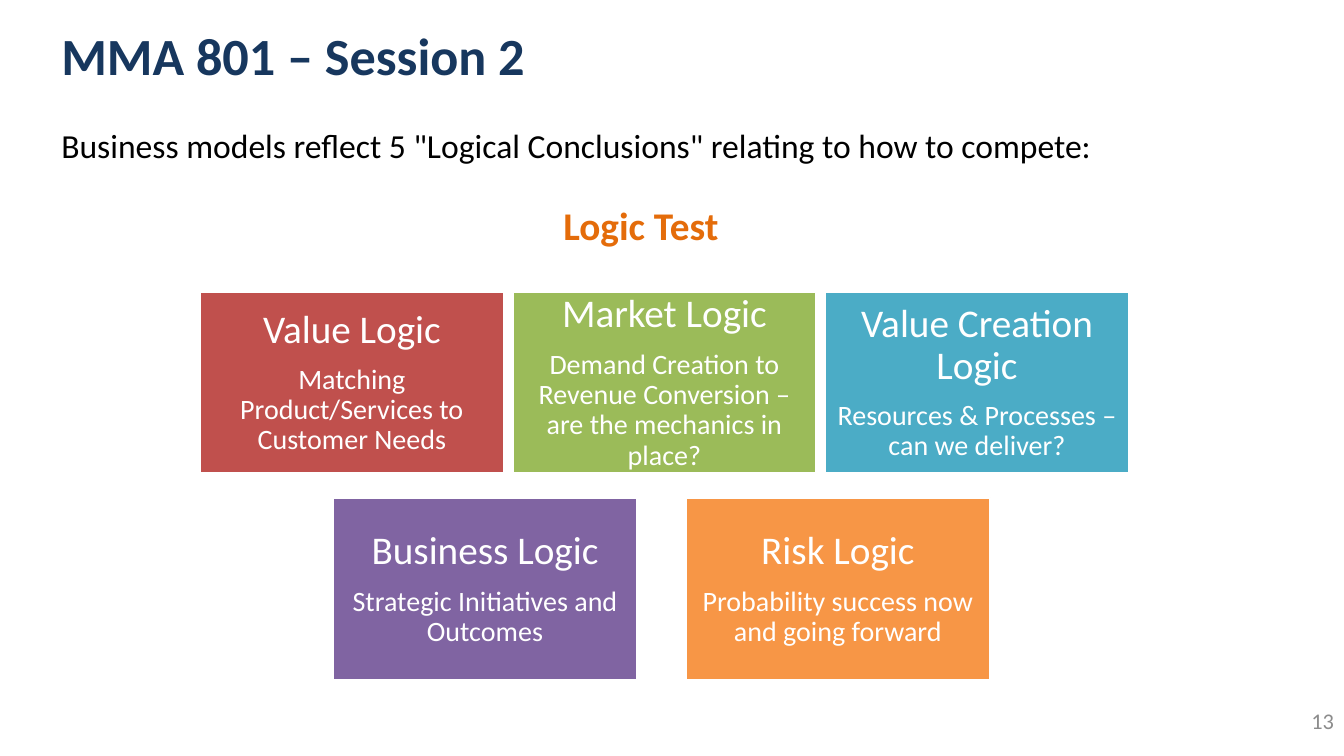
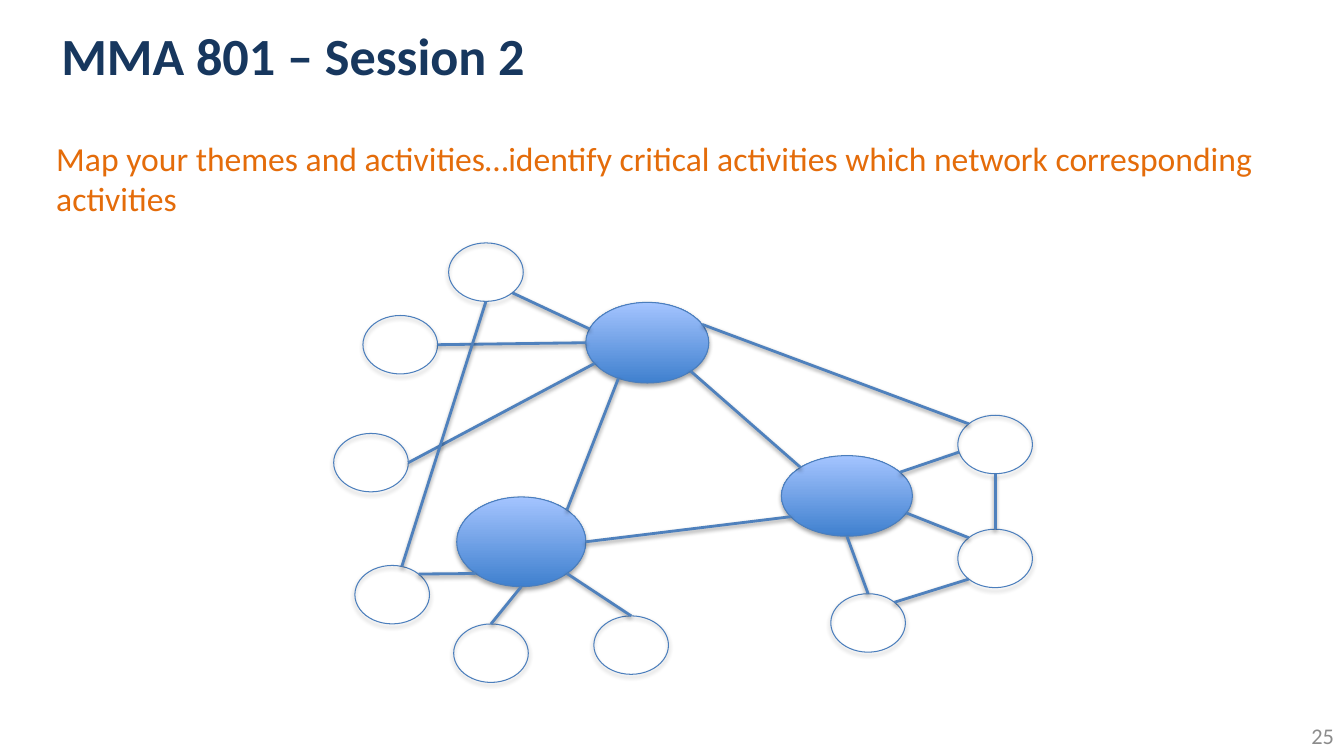
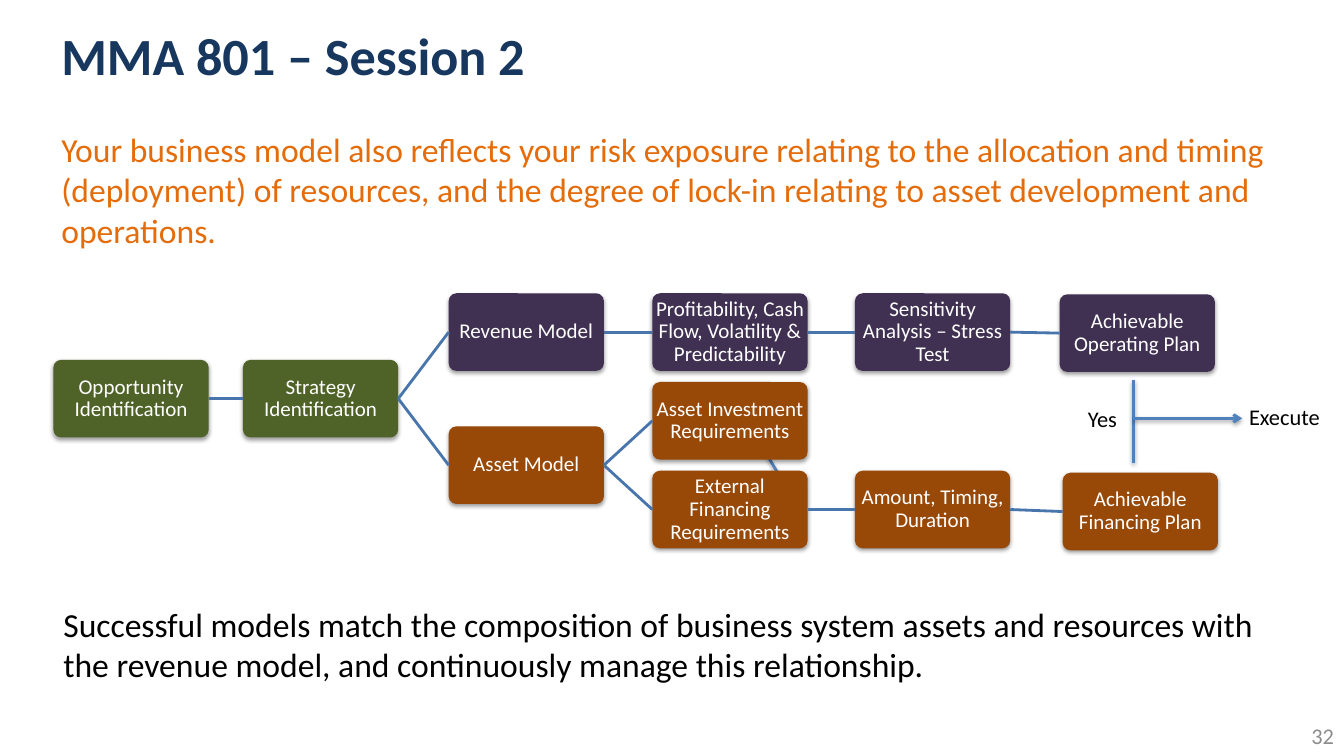
import math

from lxml import etree
from pptx import Presentation
from pptx.dml.color import RGBColor
from pptx.enum import shapes, text
from pptx.oxml.ns import qn
from pptx.util import Inches, Pt

FONT = "Calibri"
NAVY, ORANGE, BLACK, WHITE, GREY = "17375E", "E46C0A", "000000", "FFFFFF", "8C8C8C"
LINK, FLOW_LINK, OUTLINE = "4F81BD", "4875AC", "4B7EBC"
HUB_BOTTOM, HUB_TOP = "3F80CE", "A4C4FF"
GREEN, PURPLE, BROWN = "4F6228", "403152", "984807"
CENTER, RIGHT = text.PP_ALIGN.CENTER, text.PP_ALIGN.RIGHT
MIDDLE, TOP = text.MSO_ANCHOR.MIDDLE, text.MSO_ANCHOR.TOP


def color(value):
    """Turn a hex string into a colour."""
    return RGBColor.from_string(value)


def style(paragraph, size, ink, bold=False, align=None):
    """Set the font and alignment of a paragraph."""
    font = paragraph.font
    font.name, font.size, font.bold = FONT, Pt(size), bold
    font.color.rgb = color(ink)
    paragraph.alignment = align


def add_text(slide, box, words, size, ink, bold=False, align=None, anchor=TOP):
    """Add a wrapped text box holding one paragraph."""
    frame = slide.shapes.add_textbox(*map(Inches, box)).text_frame
    frame.word_wrap = True
    frame.vertical_anchor = anchor
    frame.text = words
    style(frame.paragraphs[0], size, ink, bold, align)


def fill_frame(shape, margin, words, sizes):
    """Write white centred paragraphs into a shape with equal margins."""
    frame = shape.text_frame
    frame.word_wrap = True
    frame.vertical_anchor = MIDDLE
    frame.margin_left = frame.margin_right = Inches(margin)
    frame.margin_top = frame.margin_bottom = Inches(margin)
    frame.text = words
    for paragraph, size in zip(frame.paragraphs, sizes):
        style(paragraph, size, WHITE, align=CENTER)
        paragraph.line_spacing = 0.9
        paragraph.space_after = Pt(0.35 * size)


def set_shadow(item, opacity=None, distance=20000):
    """Give a shape or connector a soft shadow below it, or none at all."""
    properties = item._element.spPr
    effects = properties.find(qn("a:effectLst"))
    if effects is None:
        effects = etree.SubElement(properties, qn("a:effectLst"))
    if opacity:
        shadow = etree.SubElement(effects, qn("a:outerShdw"), blurRad="40000",
                                  dist=str(distance), dir="5400000", rotWithShape="0")
        ink = etree.SubElement(shadow, qn("a:srgbClr"), val=BLACK)
        etree.SubElement(ink, qn("a:alpha"), val=str(opacity * 1000))


def add_line(slide, start, end, ink=LINK, shadow=38, arrow=False):
    """Add a straight connector between two points."""
    line = slide.shapes.add_connector(shapes.MSO_CONNECTOR.STRAIGHT,
                                      *map(Inches, (*start, *end)))
    line.line.color.rgb = color(ink)
    line.line.width = Pt(2)
    if arrow:
        etree.SubElement(line._element.spPr.find(qn("a:ln")), qn("a:tailEnd"), type="arrow")
    set_shadow(line, shadow)
    return line


def add_slide(presentation, number, number_top=7.1):
    """Add a blank slide with the shared title and page number."""
    slide = presentation.slides.add_slide(presentation.slide_layouts[6])
    add_text(slide, (0.51, 0.07, 10.94, 0.94), "MMA 801 – Session 2", 37.3, NAVY,
             bold=True, anchor=MIDDLE)
    add_text(slide, (10.33, number_top, 3, 0.4), str(number), 16, GREY,
             align=RIGHT, anchor=MIDDLE)
    return slide


def add_logic_card(slide, left, top, heading, detail, fill):
    """Add one coloured card with a heading and a detail line."""
    card = slide.shapes.add_shape(shapes.MSO_SHAPE.RECTANGLE,
                                  *map(Inches, (left, top, 3.02, 1.81)))
    card.shadow.inherit = False
    card.fill.solid()
    card.fill.fore_color.rgb = color(fill)
    card.line.color.rgb = color(WHITE)
    card.line.width = Pt(2)
    fill_frame(card, 0.12, f"{heading}\n{detail}", (28, 20))


def add_card_row(slide, left, top, pitch, cards):
    """Place cards side by side at an equal pitch."""
    for index, card in enumerate(cards):
        add_logic_card(slide, left + index * pitch, top, *card)


def build_logic_slide(presentation):
    """Build the slide with the five logic cards."""
    slide = add_slide(presentation, 13, 6.95)
    add_text(slide, (0.51, 1.19, 10.78, 0.5),
             'Business models reflect 5 "Logical Conclusions" relating to how to compete:',
             24, BLACK)
    add_text(slide, (5.49, 1.95, 2.01, 0.57), "Logic Test", 28, ORANGE, bold=True)
    add_card_row(slide, 1.98, 2.89, 3.1, [
        ("Value Logic", "Matching Product/Services to Customer Needs", "C0504D"),
        ("Market Logic",
         "Demand Creation to Revenue Conversion – are the mechanics in place?", "9BBB59"),
        ("Value Creation Logic", "Resources & Processes – can we deliver?", "4BACC6"),
    ])
    add_card_row(slide, 3.3, 4.94, 3.5, [
        ("Business Logic", "Strategic Initiatives and Outcomes", "8064A2"),
        ("Risk Logic", "Probability success now and going forward", "F79646"),
    ])


def add_node(slide, box, is_hub):
    """Add a network ellipse, shaded when it is a hub and hollow otherwise."""
    node = slide.shapes.add_shape(shapes.MSO_SHAPE.OVAL, *map(Inches, box))
    if is_hub:
        node.fill.gradient()
        node.fill.gradient_angle = 90
        for position, ink in enumerate((HUB_BOTTOM, HUB_TOP)):
            stop = node.fill.gradient_stops[position]
            stop.color.rgb = color(ink)
            stop.position = position
    else:
        node.fill.background()
    node.line.color.rgb = color(OUTLINE)
    node.line.width = Pt(0.75)
    set_shadow(node, 35, 23000)


def rim_point(box, degrees):
    """Return the point on an ellipse at an angle, clockwise from its right end."""
    left, top, width, height = box
    angle = math.radians(degrees)
    return (left + width / 2 * (1 + math.cos(angle)),
            top + height / 2 * (1 + math.sin(angle)))


def add_network(slide, left, top):
    """Draw hubs, activities and their links from the given corner."""
    hubs = {"theme a": (2.5, 0.59, 1.22, 0.8), "theme b": (4.44, 2.11, 1.3, 0.8),
            "theme c": (1.22, 2.52, 1.28, 0.89)}
    activities = {"a1": (1.14, 0), "a2": (0.29, 0.72), "a3": (0, 1.89),
                  "c1": (0.21, 3.2), "c2": (1.19, 3.78), "c3": (2.58, 3.7),
                  "b1": (6.19, 1.71), "b2": (6.19, 2.84), "b3": (4.93, 3.48)}
    sizes = {**hubs, **{name: (*spot, 0.74, 0.58) for name, spot in activities.items()}}
    boxes = {name: (left + x, top + y, width, height)
             for name, (x, y, width, height) in sizes.items()}
    links = [
        ("c1", -45, "theme c", 135), ("c2", -90, "theme c", 90), ("c3", -90, "theme c", 45),
        ("theme a", 45, "theme b", 225), ("theme a", 118, "theme c", -45),
        ("theme c", 0, "theme b", 149), ("theme b", -36, "b1", 165),
        ("theme b", 25, "b2", 225), ("theme b", 90, "b3", -90),
        ("theme a", 200, "a1", 45), ("theme a", 180, "a2", 0), ("theme a", 149, "a3", 0),
        ("a1", 90, "c1", -75), ("b1", 90, "b2", -90), ("b2", 135, "b3", -45),
        ("theme a", -27, "b1", 225),
    ]
    for name, box in boxes.items():
        add_node(slide, box, name in hubs)
    for first, first_angle, second, second_angle in links:
        add_line(slide, rim_point(boxes[first], first_angle),
                 rim_point(boxes[second], second_angle))


def build_network_slide(presentation):
    """Build the slide with the map of themes and activities."""
    slide = add_slide(presentation, 25)
    add_text(slide, (0.46, 1.32, 12.43, 0.91),
             "Map your themes and activities…identify critical activities which network "
             "corresponding activities", 24, ORANGE)
    add_network(slide, 3.31, 2.41)


def add_step(slide, left, top, words, fill):
    """Add one rounded step of the flow."""
    step = slide.shapes.add_shape(shapes.MSO_SHAPE.ROUNDED_RECTANGLE,
                                  *map(Inches, (left, top, 1.54, 0.77)))
    step.adjustments[0] = 0.1
    step.fill.solid()
    step.fill.fore_color.rgb = color(fill)
    step.line.fill.background()
    set_shadow(step, 38)
    fill_frame(step, 0.01, words, (15,))
    return step


def add_flow(slide, left, top):
    """Draw the steps and their links from the given corner."""
    add_line(slide, (left + 6.9, top + 1.31), (left + 7.43, top + 2.19))
    layout = {
        "opportunity": (0, 0.66, "Opportunity Identification", GREEN),
        "strategy": (1.88, 0.66, "Strategy Identification", GREEN),
        "revenue": (3.92, 0, "Revenue Model", PURPLE),
        "profit": (5.94, 0, "Profitability, Cash Flow, Volatility & Predictability", PURPLE),
        "stress": (7.95, 0, "Sensitivity Analysis – Stress Test", PURPLE),
        "operating": (9.98, 0.01, "Achievable Operating Plan", PURPLE),
        "asset": (3.92, 1.32, "Asset Model", BROWN),
        "investment": (5.94, 0.88, "Asset Investment Requirements", BROWN),
        "external": (5.94, 1.76, "External Financing Requirements", BROWN),
        "amount": (7.95, 1.76, "Amount, Timing, Duration", BROWN),
        "financing": (10.01, 1.78, "Achievable Financing Plan", BROWN),
    }
    links = [("opportunity", "strategy"), ("strategy", "revenue"), ("strategy", "asset"),
             ("revenue", "profit"), ("profit", "stress"), ("stress", "operating"),
             ("asset", "investment"), ("asset", "external"), ("external", "amount"),
             ("amount", "financing")]
    steps = {name: add_step(slide, left + x, top + y, words, fill)
             for name, (x, y, words, fill) in layout.items()}
    for first, second in links:
        line = add_line(slide, (0, 0), (0, 0), FLOW_LINK, shadow=None)
        line.begin_connect(steps[first], 3)
        line.end_connect(steps[second], 1)


def add_decision(slide, left, top):
    """Draw the branch from both plans to execution."""
    stem = left + 0.55
    add_line(slide, (stem, top), (stem, top + 0.82))
    add_line(slide, (stem, top + 0.38), (stem + 1.08, top + 0.38), arrow=True)
    add_text(slide, (left, top + 0.2, 0.75, 0.38), "Yes", 16, BLACK)
    add_text(slide, (left + 1.6, top + 0.18, 1.04, 0.38), "Execute", 16, BLACK)


def build_flow_slide(presentation):
    """Build the slide with the risk and resource flow."""
    slide = add_slide(presentation, 32)
    add_text(slide, (0.51, 1.23, 12.34, 1.31),
             "Your business model also reflects your risk exposure relating to the allocation "
             "and timing (deployment) of resources, and the degree of lock-in relating to "
             "asset development and operations.", 24, ORANGE)
    add_flow(slide, 0.53, 2.91)
    add_decision(slide, 10.69, 3.77)
    add_text(slide, (0.53, 5.94, 12.32, 0.91),
             "Successful models match the composition of business system assets and resources "
             "with the revenue model, and continuously manage this relationship.", 24, BLACK)


def main():
    """Build and save the presentation."""
    presentation = Presentation()
    presentation.slide_width, presentation.slide_height = Inches(13.33), Inches(7.5)
    build_logic_slide(presentation)
    build_network_slide(presentation)
    build_flow_slide(presentation)
    presentation.save("out.pptx")


if __name__ == "__main__":
    main()
